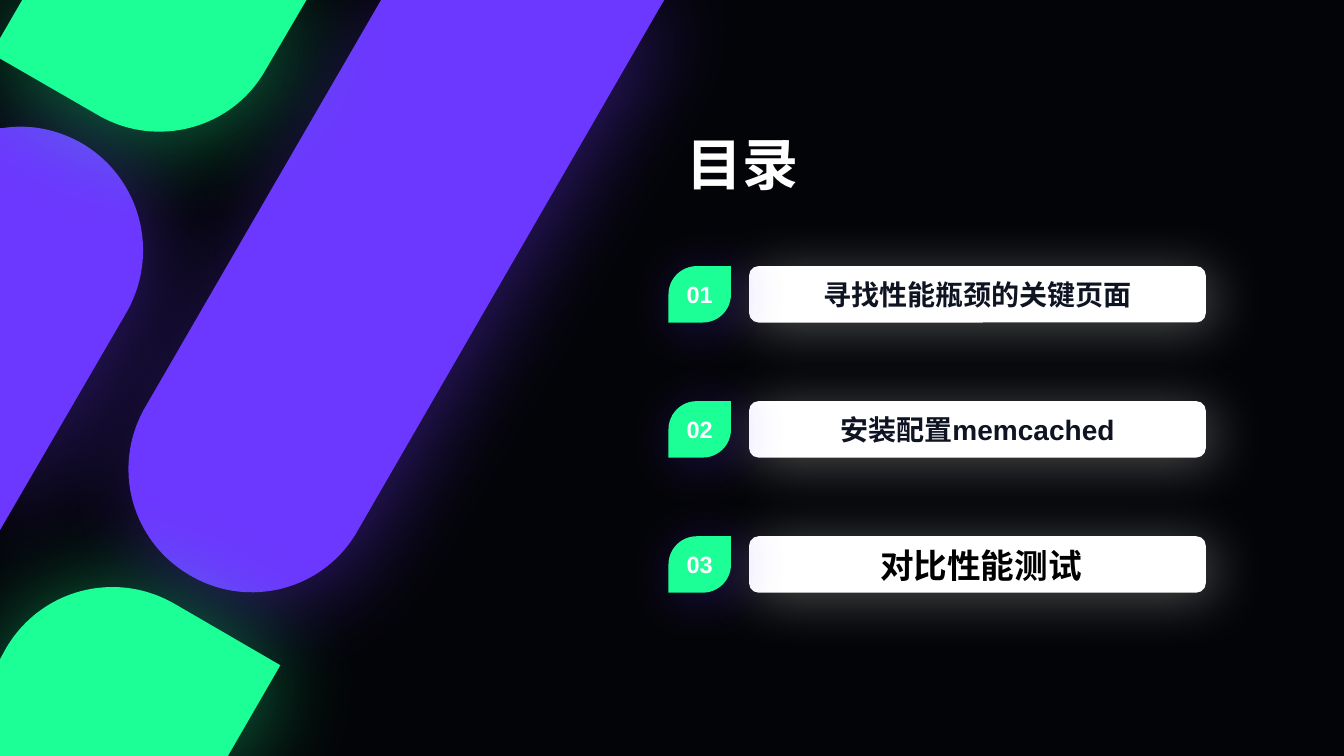
from math import cos, radians, sin

from lxml import etree
from pptx import Presentation
from pptx.dml.color import RGBColor
from pptx.enum.shapes import MSO_SHAPE
from pptx.enum.text import MSO_ANCHOR, MSO_AUTO_SIZE, PP_ALIGN
from pptx.oxml.ns import qn
from pptx.util import Inches, Pt

BAR, BADGE = MSO_SHAPE.ROUNDED_RECTANGLE, MSO_SHAPE.ROUND_2_DIAG_RECTANGLE
MIDDLE, TOP = MSO_ANCHOR.MIDDLE, MSO_ANCHOR.TOP
CENTER, LEFT = PP_ALIGN.CENTER, PP_ALIGN.LEFT
GROW = MSO_AUTO_SIZE.SHAPE_TO_FIT_TEXT

NIGHT, VIOLET, GREEN = "030407", "6C38FF", "1CFE96"
WHITE, INK, BLACK = "FFFFFF", "0F1423", "000000"
# Shadow: opacity %, blur pt, distance pt, angle
WIDE, SOFT, DOWN = (40, 70, 11, 45), (30, 41, 6, 45), (45, 74, 4, 90)

# Box, turn in degrees, then the outline as it lies on the slide:
# pairs are corners; six numbers are a Bezier curve from the last point.
PILLS = [
    ((-1.8, 2.15, 3.73, 1.99), 120,
     [(1.26, 3.09), (0, 5.26), (0, 1.27), (0.03, 1.27),
      (0.29, 1.23, 0.56, 1.28, 0.81, 1.42),
      (1.39, 1.76, 1.59, 2.5, 1.26, 3.09)]),
    ((0.06, 1.33, 7.3, 2.44), 300,
     [(1.44, 4.04), (3.78, 0), (6.59, 0), (6.59, 0),
      (6.58, 0.01, 6.58, 0.02, 6.57, 0.03), (3.55, 5.26),
      (3.22, 5.85, 2.47, 6.05, 1.89, 5.71),
      (1.3, 5.37, 1.1, 4.63, 1.44, 4.04)]),
]
LEAVES = [
    ((0.46, -0.95, 2.03, 2.44), 300,
     [(0.22, 0), (0, 0.38), (0, 0.58), (0.97, 1.14),
      (1.55, 1.48, 2.3, 1.28, 2.63, 0.7), (3.04, 0), (0.22, 0)]),
    ((0.1, 5.71, 2.18, 2.44), 120,
     [(2.26, 7.5), (2.78, 6.6), (1.73, 5.99),
      (1.14, 5.65, 0.4, 5.85, 0.06, 6.43), (0, 6.54), (0, 7.5),
      (2.26, 7.5)]),
]
ITEMS = ["寻找性能瓶颈的关键页面", "安装配置memcached", "对比性能测试"]


def color(code):
    return RGBColor.from_string(code)


def place(shape, box):
    for name, value in zip(("left", "top", "width", "height"), box):
        setattr(shape, name, Inches(value))


def paint(shape, fill, tint, glow):
    """Give a shape a plain fill, no line and a blurred shadow."""
    shape.fill.solid()
    shape.fill.fore_color.rgb = color(fill)
    shape.line.fill.background()
    shape.shadow.inherit = False
    alpha, blur, dist, angle = glow
    effects = shape._element.spPr.find(qn("a:effectLst"))
    outer = etree.SubElement(
        effects, qn("a:outerShdw"), blurRad=str(Pt(blur)), dist=str(Pt(dist)),
        dir=str(angle * 60000), algn="t", rotWithShape="0")
    shade = etree.SubElement(outer, qn("a:srgbClr"), val=tint)
    etree.SubElement(shade, qn("a:alpha"), val=str(alpha * 1000))


def write(shape, text, size, tone, align=CENTER, **frame):
    body = shape.text_frame
    for name, value in {"vertical_anchor": MIDDLE, **frame}.items():
        setattr(body, name, value)
    para = body.paragraphs[0]
    para.alignment = align
    run = para.add_run()
    run.text = text
    form = {"name": "Arial", "size": Pt(size), "bold": True}
    for name, value in form.items():
        setattr(run.font, name, value)
    run.font.color.rgb = color(tone)


def unturn(point, box, turn):
    """Map a slide point into the box as it is before its turn."""
    left, top, width, height = box
    x, y = point[0] - left - width / 2, point[1] - top - height / 2
    c, s = cos(radians(turn)), sin(radians(turn))
    return (Inches(x * c + y * s + width / 2),
            Inches(y * c - x * s + height / 2))


def bend(shape, box, parts):
    """Redraw the outline of a freeform with true curves."""
    line = shape._element.spPr.find(".//" + qn("a:path"))
    for child in list(line):
        line.remove(child)
    line.set("w", str(Inches(box[2])))
    line.set("h", str(Inches(box[3])))
    for index, part in enumerate(parts):
        kind = "cubicBezTo" if len(part) == 3 else "lnTo"
        step = etree.SubElement(line, qn(f"a:{kind if index else 'moveTo'}"))
        for x, y in part:
            etree.SubElement(step, qn("a:pt"), x=str(x), y=str(y))
    etree.SubElement(line, qn("a:close"))


def add_art(slide, forms, fill, glow):
    for box, turn, outline in forms:
        parts = [[unturn(part[i:i + 2], box, turn)
                  for i in range(0, len(part), 2)] for part in outline]
        ends = [part[-1] for part in parts]
        pen = slide.shapes.build_freeform(*ends[0])
        pen.add_line_segments(ends[1:], close=True)
        shape = pen.convert_to_shape()
        bend(shape, box, parts)
        place(shape, box)
        shape.rotation = turn
        paint(shape, fill, fill, glow)


def add_title(slide, *box):
    title = slide.shapes.title
    place(title, box)
    write(title, "目录", 40, WHITE, LEFT, vertical_anchor=TOP,
          word_wrap=True, auto_size=GROW)


def add_row(slide, left, top, width, height, number, label):
    """Place a numbered badge and its bar; the last label has its own box."""
    side, gap = 0.62, 0.18
    start = left + side + gap
    span = width - side - gap
    bar = slide.shapes.add_shape(
        BAR, Inches(start), Inches(top), Inches(span), Inches(height))
    paint(bar, WHITE, WHITE, SOFT)
    badge = slide.shapes.add_shape(
        BADGE, Inches(left), Inches(top), Inches(side), Inches(height))
    badge.adjustments[0] = 0.5
    badge.adjustments[1] = 0
    paint(badge, GREEN, VIOLET, SOFT)
    write(badge, f"{number:02}", 16.8, WHITE, word_wrap=False)
    if number < len(ITEMS):
        write(bar, label, 20, INK, word_wrap=False)
    else:
        note = slide.shapes.add_textbox(
            Inches(start + 0.28), Inches(top + 0.01),
            Inches(span - 0.49), Inches(height))
        write(note, label, 24, BLACK, word_wrap=True)


def add_list(slide, left, top, width, pitch):
    for index, label in enumerate(ITEMS):
        add_row(slide, left, top + index * pitch, width, 0.56,
                index + 1, label)


def main():
    deck = Presentation()
    deck.slide_width, deck.slide_height = Inches(13.33), Inches(7.5)
    slide = deck.slides.add_slide(deck.slide_layouts[5])
    slide.background.fill.solid()
    slide.background.fill.fore_color.rgb = color(NIGHT)
    add_art(slide, PILLS, VIOLET, WIDE)
    add_title(slide, 6.71, 1.23, 2.16, 0.77)
    add_list(slide, 6.63, 2.64, 5.33, 1.34)
    add_art(slide, LEAVES, GREEN, DOWN)
    deck.save("out.pptx")


if __name__ == "__main__":
    main()
